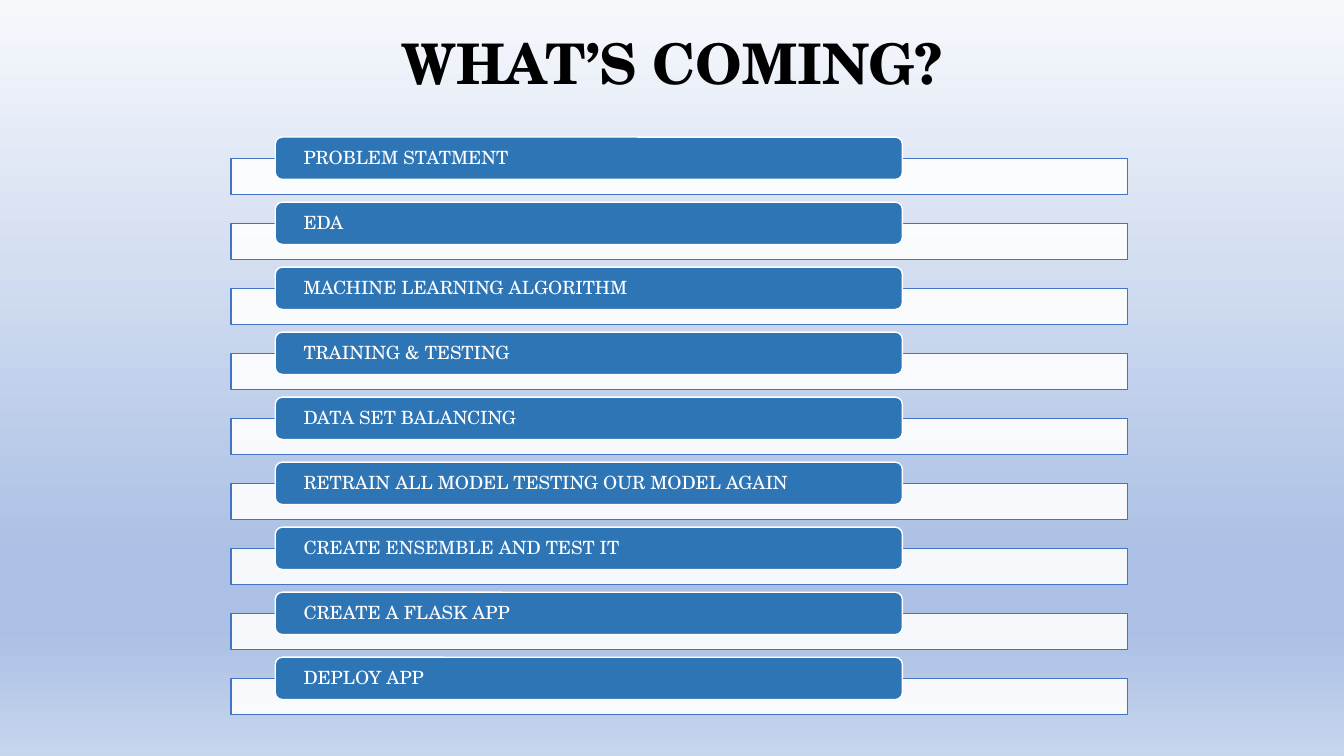
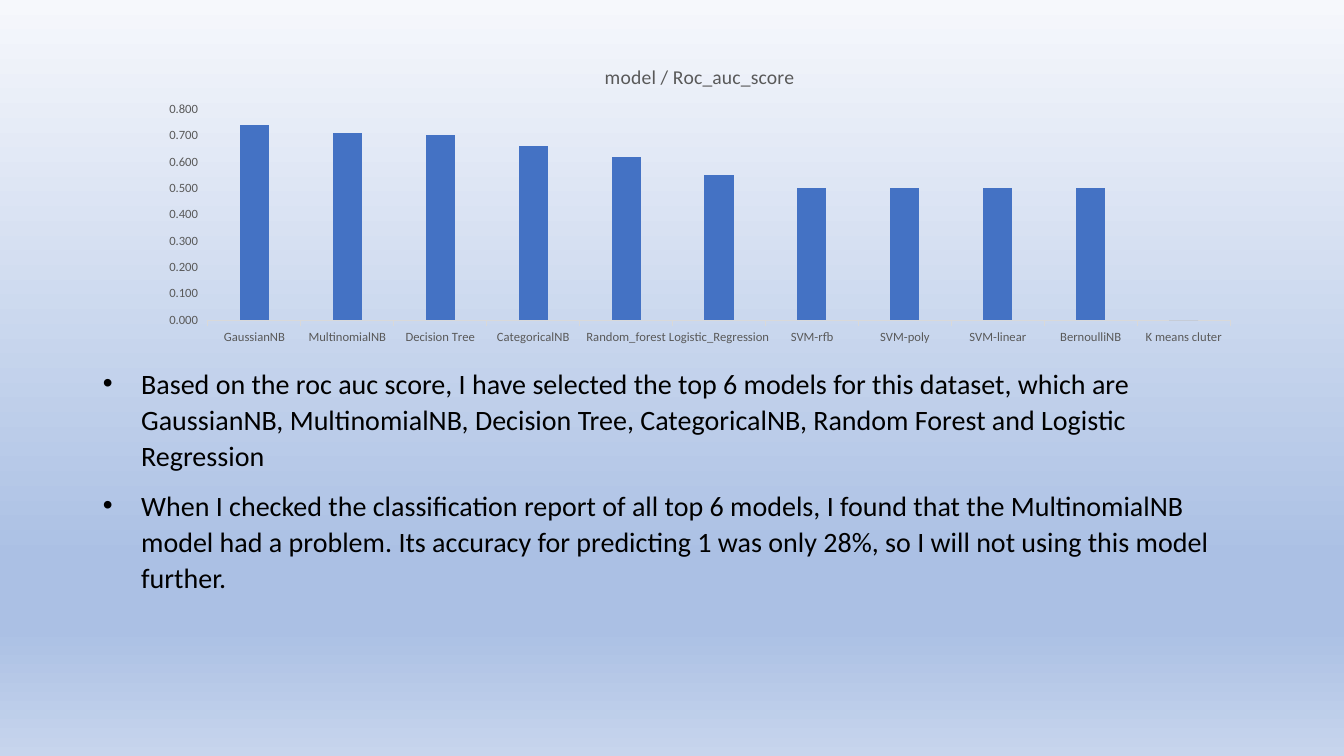
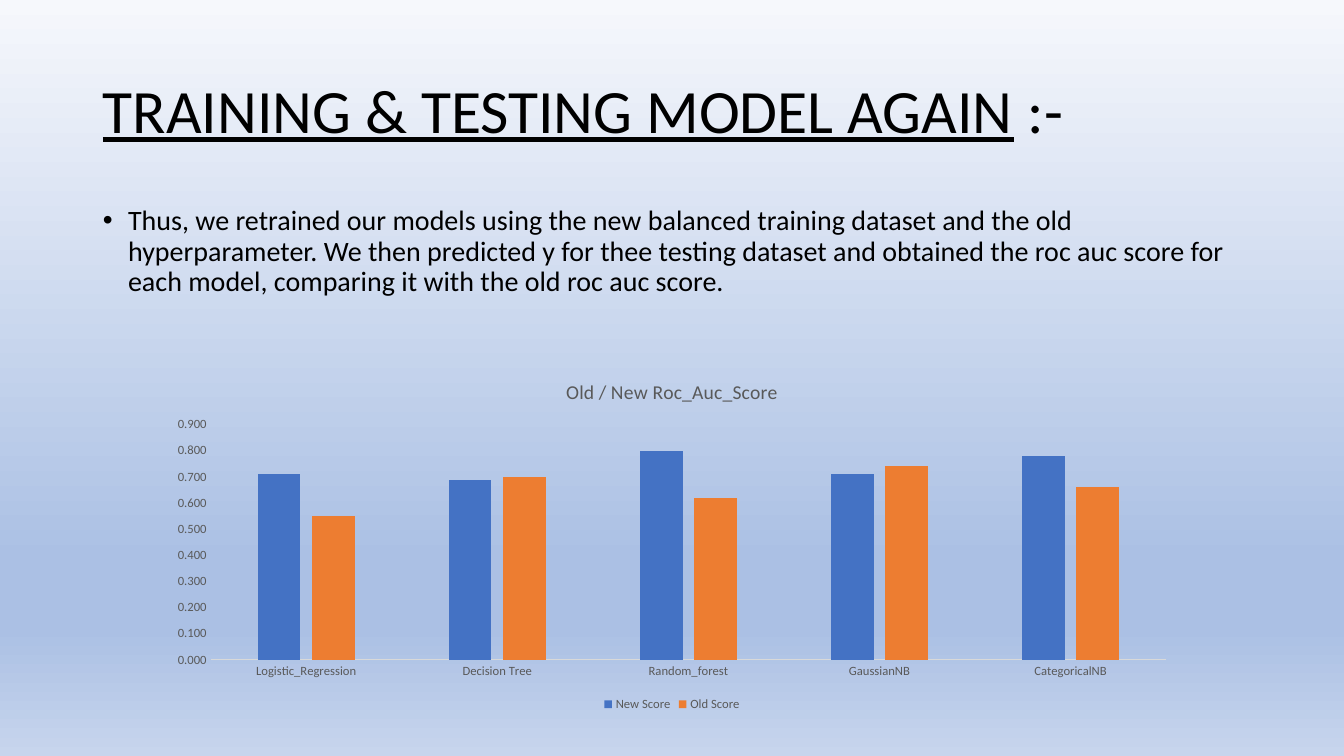
from dataclasses import dataclass

from lxml.etree import SubElement
from pptx import Presentation
from pptx.chart.data import CategoryChartData
from pptx.dml.color import RGBColor
from pptx.enum.chart import XL_CHART_TYPE, XL_LEGEND_POSITION, XL_TICK_MARK
from pptx.enum.shapes import MSO_SHAPE
from pptx.enum.text import MSO_ANCHOR, MSO_AUTO_SIZE, PP_ALIGN
from pptx.oxml.ns import qn
from pptx.util import Inches, Pt


@dataclass(frozen=True)
class Theme:
    black: str = "000000"
    white: str = "FFFFFF"
    blue: str = "4472C4"
    orange: str = "ED7D31"
    agenda_blue: str = "2E75B6"
    chart_grey: str = "595959"
    axis_grey: str = "D9D9D9"
    background: tuple = ((0, "F6F8FC"), (74, "ABC0E4"), (83, "ABC0E4"), (100, "C7D5ED"))
    sans: str = "Calibri"
    serif: str = "TeX Gyre Schola"
    agenda_title_size: int = 40
    title_size: int = 44
    body_size: int = 20
    agenda_size: int = 13
    chart_title_size: int = 14
    chart_size: int = 10
    axis_size: int = 9


THEME = Theme()
TITLE_AND_BODY, TITLE_ONLY = 1, 5

AGENDA = (
    "PROBLEM STATMENT",
    "EDA",
    "MACHINE LEARNING ALGORITHM",
    "TRAINING & TESTING",
    "DATA SET BALANCING",
    "RETRAIN ALL MODEL TESTING OUR MODEL AGAIN",
    "CREATE ENSEMBLE AND TEST IT",
    "CREATE A FLASK APP",
    "DEPLOY APP",
)
MODEL_SCORES = {
    "GaussianNB": 0.74,
    "MultinomialNB": 0.71,
    "Decision Tree": 0.7,
    "CategoricalNB": 0.66,
    "Random_forest": 0.62,
    "Logistic_Regression": 0.55,
    "SVM-rfb": 0.5,
    "SVM-poly": 0.5,
    "SVM-linear": 0.5,
    "BernoulliNB": 0.5,
    "K means cluter": 0,
}
RETRAINED_MODELS = (
    "Logistic_Regression", "Decision Tree", "Random_forest", "GaussianNB", "CategoricalNB",
)
NEW_SCORES = (0.71, 0.69, 0.8, 0.71, 0.78)


def rgb(color):
    return RGBColor.from_string(color)


def set_font(font, size, color=THEME.black, family=THEME.sans, bold=False):
    font.name, font.size, font.bold = family, Pt(size), bold
    font.color.rgb = rgb(color)


def place(shape, left, top, width, height):
    shape.left, shape.top = Inches(left), Inches(top)
    shape.width, shape.height = Inches(width), Inches(height)


def paint_background(master):
    fill = master.background.fill
    fill.gradient()
    fill.gradient_angle = 270
    stops = master.element.find(".//" + qn("p:bg")).find(".//" + qn("a:gsLst"))
    for stop in list(stops):
        stops.remove(stop)
    for percent, color in THEME.background:
        stop = SubElement(stops, qn("a:gs"), pos=str(percent * 1000))
        SubElement(stop, qn("a:srgbClr"), val=color)


def add_slide(prs, layout):
    return prs.slides.add_slide(prs.slide_layouts[layout])


def fill_title(slide, box, runs, size, family, anchor, align, bold=False):
    """Write the title from (text, underlined) runs."""
    title = slide.shapes.title
    place(title, *box)
    frame = title.text_frame
    frame.auto_size = MSO_AUTO_SIZE.NONE
    frame.vertical_anchor = anchor
    paragraph = frame.paragraphs[0]
    paragraph.alignment = align
    paragraph.line_spacing = 0.9
    set_font(paragraph.font, size, family=family, bold=bold)
    for text, underlined in runs:
        run = paragraph.add_run()
        run.text = text
        run.font.underline = underlined


def fill_bullets(slide, box, bullets, indent, line_spacing):
    body = slide.placeholders[1]
    place(body, *box)
    frame = body.text_frame
    frame.auto_size = MSO_AUTO_SIZE.NONE
    frame.text = "\n".join(bullets)
    for paragraph in frame.paragraphs:
        set_font(paragraph.font, THEME.body_size)
        paragraph.line_spacing = line_spacing
        paragraph.space_before = Pt(10)
        properties = paragraph._p.get_or_add_pPr()
        properties.set("marL", str(Inches(indent)))
        properties.set("indent", str(Inches(-indent)))


def add_panel(slide, preset, box, fill, line):
    panel = slide.shapes.add_shape(preset, *map(Inches, box))
    panel.shadow.inherit = False
    panel.fill.solid()
    panel.fill.fore_color.rgb = rgb(fill)
    panel.line.color.rgb = rgb(line)
    panel.line.width = Pt(1)
    return panel


def add_agenda_item(slide, text, top):
    """Draw a translucent strip with a rounded label over its upper edge."""
    strip = add_panel(slide, MSO_SHAPE.RECTANGLE, (2.29, top + 0.21, 8.89, 0.36),
                      THEME.white, THEME.blue)
    strip_color = strip.fill._xPr.find(qn("a:solidFill"))[0]
    SubElement(strip_color, qn("a:alpha"), val="90000")

    label = add_panel(slide, MSO_SHAPE.ROUNDED_RECTANGLE, (2.73, top, 6.22, 0.42),
                      THEME.agenda_blue, THEME.white)
    frame = label.text_frame
    frame.margin_left = frame.margin_right = Inches(0.26)
    frame.margin_top = frame.margin_bottom = 0
    frame.vertical_anchor = MSO_ANCHOR.MIDDLE
    paragraph = frame.paragraphs[0]
    paragraph.text = text
    paragraph.alignment = PP_ALIGN.LEFT
    paragraph.line_spacing = 0.9
    set_font(paragraph.font, THEME.agenda_size, THEME.white, THEME.serif)


def style_axis(axis, tick_mark):
    axis.has_major_gridlines = False
    axis.major_tick_mark = tick_mark
    axis.minor_tick_mark = XL_TICK_MARK.NONE
    set_font(axis.tick_labels.font, THEME.axis_size, THEME.chart_grey)


def add_score_chart(slide, box, title, models, series, top_score, tick_mark):
    """Add clustered columns from (name, scores, color) series."""
    scores = CategoryChartData(number_format="0.000")
    scores.categories = models
    for name, values, _ in series:
        scores.add_series(name, values)
    chart = slide.shapes.add_chart(
        XL_CHART_TYPE.COLUMN_CLUSTERED, *map(Inches, box), scores).chart
    set_font(chart.font, THEME.chart_size)

    chart.has_title = True
    heading = chart.chart_title.text_frame.paragraphs[0]
    heading.text = title
    set_font(heading.font, THEME.chart_title_size, THEME.chart_grey)
    chart.chart_title.include_in_layout = False

    chart.has_legend = len(series) > 1
    if chart.has_legend:
        chart.legend.position = XL_LEGEND_POSITION.BOTTOM
        chart.legend.include_in_layout = False
        set_font(chart.legend.font, THEME.axis_size, THEME.chart_grey)

    model_axis, score_axis = chart.category_axis, chart.value_axis
    style_axis(model_axis, tick_mark)
    model_axis.format.line.color.rgb = rgb(THEME.axis_grey)
    model_axis.format.line.width = Pt(0.75)
    style_axis(score_axis, tick_mark)
    score_axis.format.line.fill.background()
    score_axis.minimum_scale, score_axis.maximum_scale = 0, top_score
    score_axis.major_unit = 0.1
    score_axis.tick_labels.number_format = "0.000"
    score_axis.tick_labels.number_format_is_linked = False

    plot = chart.plots[0]
    plot.vary_by_categories = False
    plot.gap_width, plot.overlap = 219, -27
    for columns, (_, _, color) in zip(plot.series, series):
        columns.format.fill.solid()
        columns.format.fill.fore_color.rgb = rgb(color)


def build_agenda(prs):
    slide = add_slide(prs, TITLE_ONLY)
    fill_title(slide, (0, 0.31, 13.33, 0.77), [("WHAT’S COMING?", False)],
               THEME.agenda_title_size, THEME.serif, MSO_ANCHOR.TOP,
               PP_ALIGN.CENTER, bold=True)
    first_top, last_top = 1.36, 6.52
    pitch = (last_top - first_top) / (len(AGENDA) - 1)
    for row, text in enumerate(AGENDA):
        add_agenda_item(slide, text, first_top + row * pitch)


def build_model_selection(prs):
    slide = add_slide(prs, TITLE_AND_BODY)
    unused_title = slide.shapes.title.element
    unused_title.getparent().remove(unused_title)
    fill_bullets(slide, (0.92, 3.56, 11.5, 3.19), (
        "Based on the roc auc score, I have selected the top 6 models for this dataset, "
        "which are GaussianNB, MultinomialNB, Decision Tree, CategoricalNB, Random Forest "
        "and Logistic Regression",
        "When I checked the classification report of all top 6 models, I found that the "
        "MultinomialNB model had a problem. Its accuracy for predicting 1 was only 28%, "
        "so I will not using this model further.",
    ), indent=0.38, line_spacing=1.07)
    add_score_chart(slide, (1.46, 0.48, 10.96, 3), "model / Roc_auc_score",
                    list(MODEL_SCORES),
                    [("Series 1", list(MODEL_SCORES.values()), THEME.blue)],
                    0.8, XL_TICK_MARK.OUTSIDE)


def build_retraining(prs):
    slide = add_slide(prs, TITLE_AND_BODY)
    fill_title(slide, (0.92, 0.4, 11.5, 1.45),
               [("TRAINING & TESTING MODEL AGAIN", True), (" :-", False)],
               THEME.title_size, THEME.sans, MSO_ANCHOR.MIDDLE, PP_ALIGN.LEFT)
    fill_bullets(slide, (0.92, 2, 11.5, 4.76), (
        "Thus, we retrained our models using the new balanced training dataset and the old "
        "hyperparameter. We then predicted y for thee testing dataset and obtained the roc "
        "auc score for each model, comparing it with the old roc auc score.",
    ), indent=0.25, line_spacing=0.9)
    old_scores = [MODEL_SCORES[model] for model in RETRAINED_MODELS]
    add_score_chart(slide, (1.56, 3.59, 10.21, 3.51), "Old / New Roc_Auc_Score",
                    RETRAINED_MODELS,
                    [("New Score", NEW_SCORES, THEME.blue),
                     ("Old Score", old_scores, THEME.orange)],
                    0.9, XL_TICK_MARK.NONE)


def main():
    prs = Presentation()
    prs.slide_width, prs.slide_height = Inches(13.33), Inches(7.5)
    paint_background(prs.slide_master)
    build_agenda(prs)
    build_model_selection(prs)
    build_retraining(prs)
    prs.save("out.pptx")


if __name__ == "__main__":
    main()
